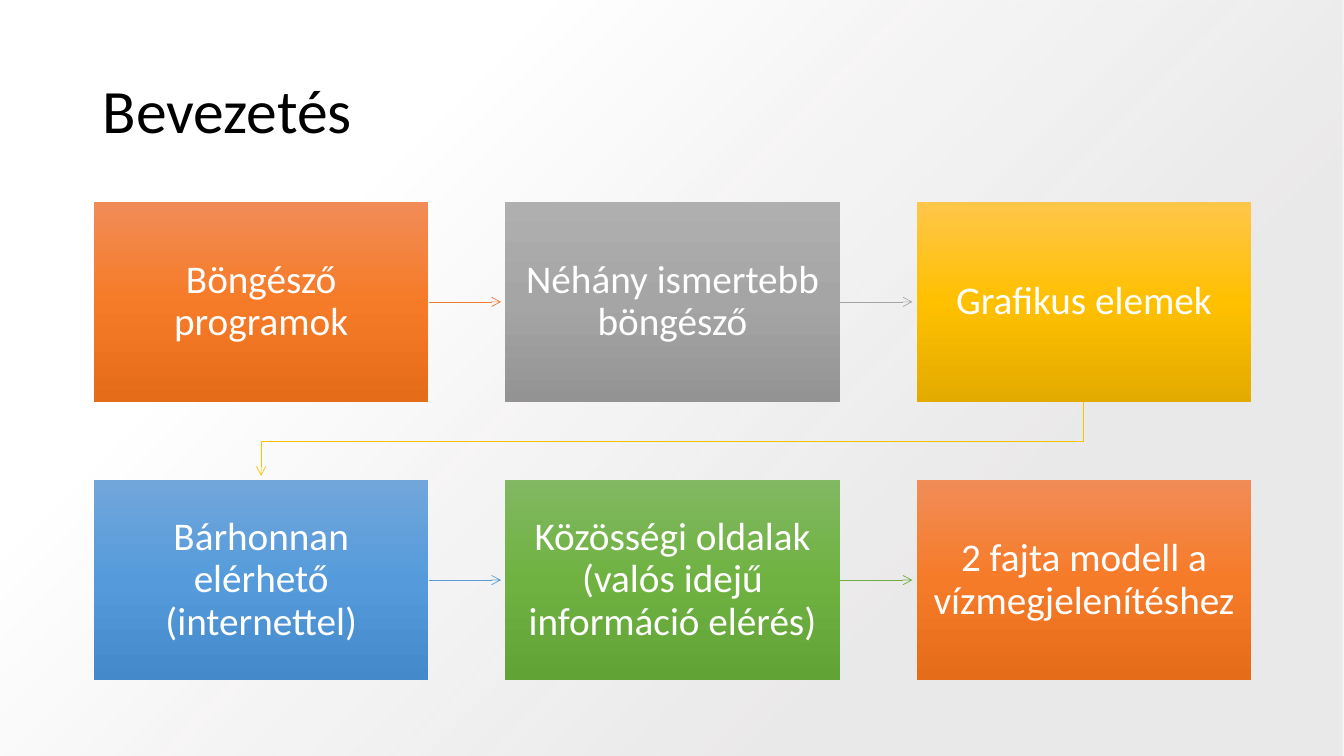
"""Build the introduction slide with its six-step browser flow."""
from dataclasses import dataclass

from lxml.etree import SubElement
from pptx import Presentation
from pptx.dml.color import RGBColor
from pptx.enum.shapes import MSO_CONNECTOR, MSO_SHAPE
from pptx.enum.text import MSO_ANCHOR, PP_ALIGN
from pptx.oxml.ns import qn
from pptx.util import Inches, Pt

WHITE = RGBColor(0xFF, 0xFF, 0xFF)
BLACK = RGBColor(0x00, 0x00, 0x00)
PALE = RGBColor(0xE7, 0xE6, 0xE6)


@dataclass(frozen=True)
class Theme:
    line: RGBColor
    top: RGBColor
    middle: RGBColor
    bottom: RGBColor


@dataclass(frozen=True)
class Step:
    text: str
    theme: Theme


@dataclass(frozen=True)
class Stop:
    at: int
    color: RGBColor
    alpha: int = 100


def theme(*codes: str) -> Theme:
    return Theme(*map(RGBColor.from_string, codes))


ORANGE = theme("ED7D31", "F18C57", "F67B28", "E56C19")
GREY = theme("A5A5A5", "AFAFAF", "A5A5A5", "939393")
GOLD = theme("FFC000", "FFC64B", "FFC000", "E3AB00")
BLUE = theme("5B9BD5", "71A6DB", "559BDB", "448ACA")
GREEN = theme("70AD47", "81B861", "6FB242", "62A336")

STEPS = [
    Step("Böngésző programok", ORANGE),
    Step("Néhány ismertebb böngésző", GREY),
    Step("Grafikus elemek", GOLD),
    Step("Bárhonnan elérhető (internettel)", BLUE),
    Step("Közösségi oldalak (valós idejű információ elérés)", GREEN),
    Step("2 fajta modell a vízmegjelenítéshez", ORANGE),
]

COLS = 3
LEFT, TOP = Inches(0.93), Inches(2)
BOX_W, BOX_H = Inches(3.32), Inches(1.99)
PITCH_X, PITCH_Y = Inches(4.08), Inches(2.76)
TIP_GAP = Inches(0.04)


def set_gradient(sp, stops: list[Stop], radial: bool = False) -> None:
    sp.fill.background()
    spPr = sp._element.spPr
    no_fill = spPr.find(qn("a:noFill"))
    grad = SubElement(spPr, qn("a:gradFill"), rotWithShape="1")
    spPr.replace(no_fill, grad)
    gs_list = SubElement(grad, qn("a:gsLst"))
    for stop in stops:
        gs = SubElement(gs_list, qn("a:gs"), pos=str(stop.at * 1000))
        clr = SubElement(gs, qn("a:srgbClr"), val=str(stop.color))
        if stop.alpha < 100:
            SubElement(clr, qn("a:alpha"), val=str(stop.alpha * 1000))
    if radial:
        circle = SubElement(grad, qn("a:path"), path="circle")
        SubElement(circle, qn("a:fillToRect"), l="100000", t="100000")
    else:
        SubElement(grad, qn("a:lin"), ang="5400000", scaled="0")


def add_rect(s, x: int, y: int, w: int, h: int, stops: list[Stop], radial: bool = False):
    sp = s.shapes.add_shape(MSO_SHAPE.RECTANGLE, x, y, w, h)
    sp.shadow.inherit = False
    sp.line.fill.background()
    set_gradient(sp, stops, radial)
    return sp


def write(sp, text: str, *, size: int, color: RGBColor, align=PP_ALIGN.LEFT,
          inset_x: float = 0.1, inset_y: float = 0.05) -> None:
    tf = sp.text_frame
    tf.word_wrap = True
    tf.vertical_anchor = MSO_ANCHOR.MIDDLE
    tf.margin_left = tf.margin_right = Inches(inset_x)
    tf.margin_top = tf.margin_bottom = Inches(inset_y)
    p = tf.paragraphs[0]
    p.alignment, p.line_spacing = align, 0.9
    r = p.add_run()
    r.text = text
    r.font.name, r.font.size, r.font.color.rgb = "Calibri", Pt(size), color


def style_arrow(sp, color: RGBColor) -> None:
    sp.line.color.rgb = color
    sp.line.width = Pt(0.5)
    spPr = sp._element.spPr
    SubElement(spPr.find(qn("a:ln")), qn("a:tailEnd"), type="arrow")
    SubElement(spPr, qn("a:effectLst"))


def add_arrow(s, x: int, y: int, color: RGBColor) -> None:
    tip = x + PITCH_X - BOX_W - TIP_GAP
    style_arrow(s.shapes.add_connector(MSO_CONNECTOR.STRAIGHT, x, y, tip, y), color)


def add_row_turn(s, x: int, y: int, color: RGBColor) -> None:
    first = LEFT + BOX_W // 2
    gap = PITCH_Y - BOX_H
    builder = s.shapes.build_freeform(x, y)
    builder.add_line_segments(
        [(x, y + gap // 2), (first, y + gap // 2), (first, y + gap - TIP_GAP)], close=False)
    sp = builder.convert_to_shape()
    sp.fill.background()
    style_arrow(sp, color)


def add_step(s, i: int, step: Step) -> None:
    row, col = divmod(i, COLS)
    x, y = LEFT + col * PITCH_X, TOP + row * PITCH_Y
    t = step.theme
    if col < COLS - 1:
        add_arrow(s, x + BOX_W, y + BOX_H // 2, t.line)
    elif i < len(STEPS) - 1:
        add_row_turn(s, x + BOX_W // 2, y + BOX_H, t.line)
    sp = add_rect(s, x, y, BOX_W, BOX_H, [Stop(0, t.top), Stop(50, t.middle), Stop(100, t.bottom)])
    write(sp, step.text, size=28, color=WHITE, align=PP_ALIGN.CENTER, inset_x=0.16, inset_y=0.17)


def main() -> None:
    prs = Presentation()
    prs.slide_width, prs.slide_height = Inches(13.33), Inches(7.5)
    s = prs.slides.add_slide(prs.slide_layouts[6])
    add_rect(s, 0, 0, prs.slide_width, prs.slide_height,
             [Stop(28, PALE, 84), Stop(74, WHITE)], radial=True)
    title = s.shapes.add_textbox(Inches(0.92), Inches(0.4), Inches(11.5), Inches(1.45))
    write(title, "Bevezetés", size=44, color=BLACK)
    for i, step in enumerate(STEPS):
        add_step(s, i, step)
    prs.save("out.pptx")


main()
